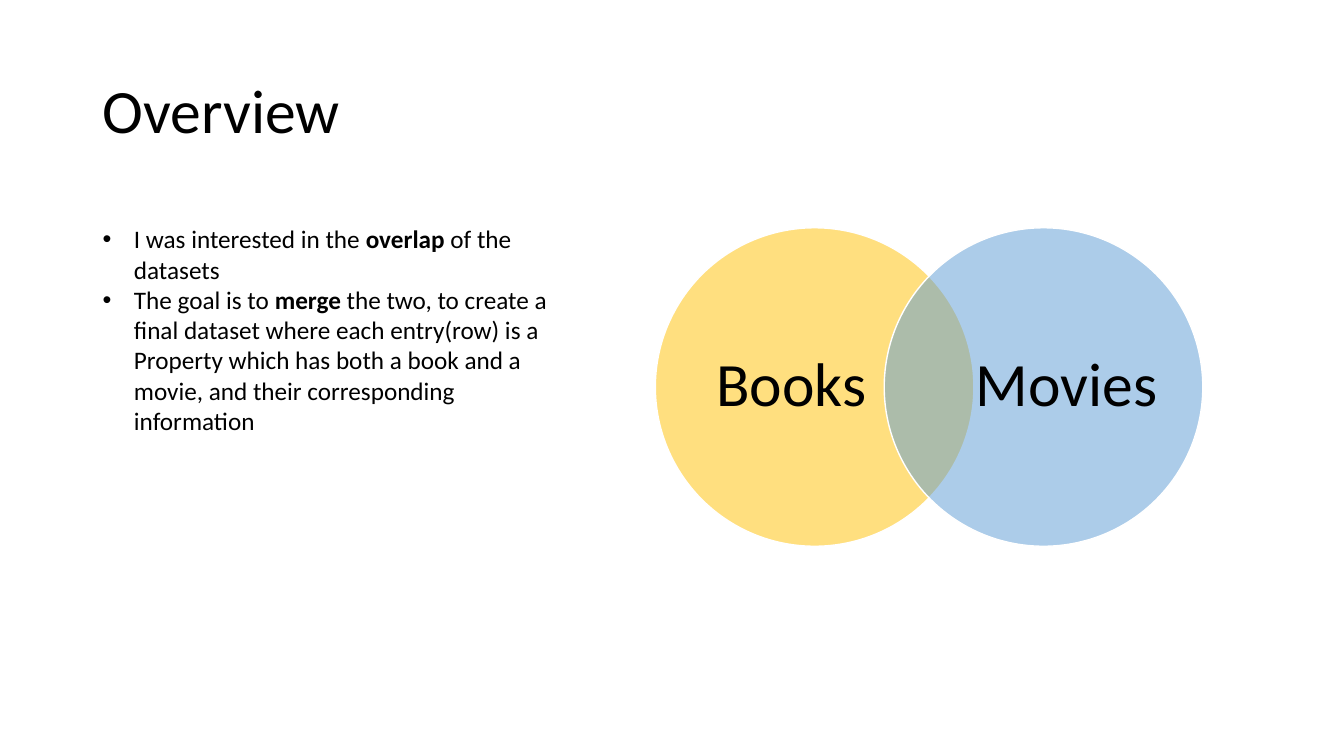
from dataclasses import dataclass

from lxml.etree import SubElement
from pptx import Presentation
from pptx.dml.color import RGBColor
from pptx.enum.shapes import MSO_SHAPE
from pptx.enum.text import MSO_ANCHOR, PP_ALIGN
from pptx.oxml.ns import qn
from pptx.slide import Slide
from pptx.text.text import TextFrame, _Paragraph as Paragraph
from pptx.util import Emu, Pt

EMU_PER_PX = 9144
FONT = "Calibri"
COLORS = {"text": "000000", "outline": "FFFFFF", "books": "FFC000", "movies": "5B9BD5"}
HEADING_SIZE = 44
BODY_SIZE = 18
CIRCLE_TOP = 226
CIRCLE_SIZE = 316
LABEL_TOP, LABEL_WIDTH, LABEL_HEIGHT = 263, 182, 241
BULLET_INDENT = 31


@dataclass(frozen=True)
class TextRun:
    text: str
    bold: bool = False


@dataclass(frozen=True)
class VennSet:
    name: str
    color: str
    circle_left: int
    label_left: int


VENN_SETS = [
    VennSet("Books", "books", 650, 694),
    VennSet("Movies", "movies", 877, 967),
]

BULLETS = [
    [
        TextRun("I was interested in the "),
        TextRun("overlap ", bold=True),
        TextRun("of the datasets"),
    ],
    [
        TextRun("The goal is to "),
        TextRun("merge", bold=True),
        TextRun(
            " the two, to create a final dataset where each entry(row) is a Property "
            "which has both a book and a movie, and their corresponding information"
        ),
    ],
]


def px(length: int) -> Emu:
    return Emu(length * EMU_PER_PX)


def color(name: str) -> RGBColor:
    return RGBColor.from_string(COLORS[name])


def add_text_frame(slide: Slide, left: int, top: int, width: int, height: int) -> TextFrame:
    frame = slide.shapes.add_textbox(px(left), px(top), px(width), px(height)).text_frame
    frame.word_wrap = True
    return frame


def add_run(paragraph: Paragraph, content: TextRun, size: int) -> None:
    run = paragraph.add_run()
    run.text = content.text
    run.font.name = FONT
    run.font.size = Pt(size)
    run.font.bold = content.bold
    run.font.color.rgb = color("text")


def fill_heading(frame: TextFrame, text: str, alignment: PP_ALIGN) -> None:
    frame.vertical_anchor = MSO_ANCHOR.MIDDLE
    paragraph = frame.paragraphs[0]
    paragraph.alignment = alignment
    paragraph.line_spacing = 0.9
    add_run(paragraph, TextRun(text), HEADING_SIZE)


def add_venn_set(slide: Slide, venn_set: VennSet) -> None:
    circle = slide.shapes.add_shape(
        MSO_SHAPE.OVAL,
        px(venn_set.circle_left), px(CIRCLE_TOP), px(CIRCLE_SIZE), px(CIRCLE_SIZE),
    )
    circle.shadow.inherit = False
    circle.fill.solid()
    circle.fill.fore_color.rgb = color(venn_set.color)
    fill_color = circle.element.spPr.find(qn("a:solidFill")).find(qn("a:srgbClr"))
    SubElement(fill_color, qn("a:alpha")).set("val", "50000")
    circle.line.color.rgb = color("outline")
    circle.line.width = Pt(1)

    label = add_text_frame(slide, venn_set.label_left, LABEL_TOP, LABEL_WIDTH, LABEL_HEIGHT)
    label.margin_left = label.margin_right = label.margin_top = label.margin_bottom = 0
    fill_heading(label, venn_set.name, PP_ALIGN.CENTER)


def add_bullets(slide: Slide) -> None:
    frame = add_text_frame(slide, 92, 217, 492, 252)
    for index, runs in enumerate(BULLETS):
        paragraph = frame.add_paragraph() if index else frame.paragraphs[0]
        properties = paragraph._p.get_or_add_pPr()
        properties.set("marL", str(px(BULLET_INDENT)))
        properties.set("indent", str(px(-BULLET_INDENT)))
        SubElement(properties, qn("a:buFont")).set("typeface", "Arial")
        SubElement(properties, qn("a:buChar")).set("char", "•")
        for content in runs:
            add_run(paragraph, content, BODY_SIZE)


def main() -> None:
    presentation = Presentation()
    presentation.slide_width = px(1333)
    presentation.slide_height = px(750)
    slide = presentation.slides.add_slide(presentation.slide_layouts[6])
    fill_heading(add_text_frame(slide, 92, 40, 1150, 145), "Overview", PP_ALIGN.LEFT)
    for venn_set in VENN_SETS:
        add_venn_set(slide, venn_set)
    add_bullets(slide)
    presentation.save("out.pptx")


if __name__ == "__main__":
    main()
